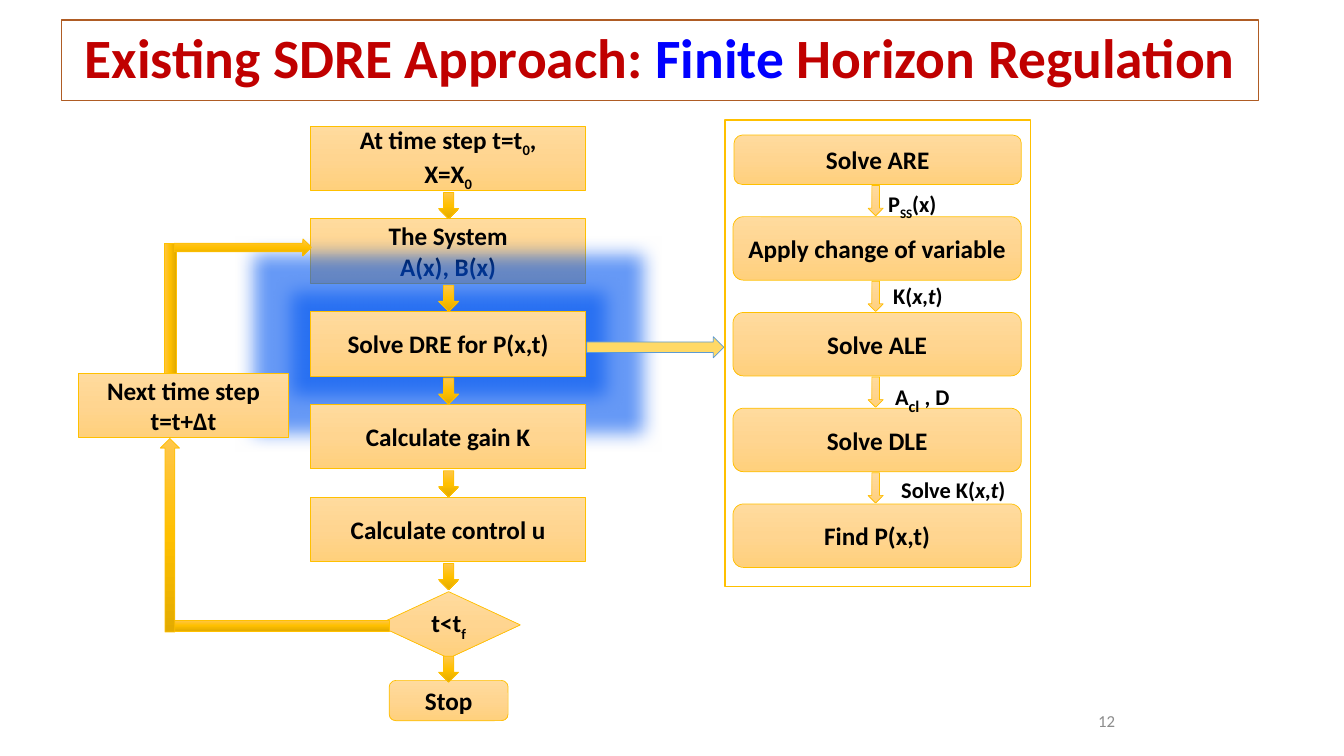
from copy import deepcopy
from typing import NamedTuple

from lxml.etree import SubElement
from pptx import Presentation
from pptx.dml.color import RGBColor
from pptx.enum.shapes import MSO_SHAPE as Preset
from pptx.enum.text import MSO_ANCHOR as Anchor, PP_ALIGN as Align
from pptx.oxml.ns import qn
from pptx.util import Inches, Pt

FONT = "Calibri"
BLACK, GOLD, WHITE = "000000", "FFC000", "FFFFFF"
PALE = ("FFDB9E", "FFD590", "FFD07C")
STRONG = ("FFC64B", GOLD, "E3AB00")


class Span(NamedTuple):
    """A run of text with what sets it apart from its paragraph."""
    text: str
    lowered: bool = False
    italic: bool = False
    size: float | None = None
    color: str | None = None


class Block(NamedTuple):
    """A preset shape, measured in inches, with its lines of text."""
    preset: Preset
    left: float
    top: float
    width: float
    height: float
    lines: tuple = ()
    fill: tuple = PALE
    line: str = GOLD
    weight: float = 0.5
    rotation: float = 0


class Label(NamedTuple):
    """A caption beside an arrow of the solution steps."""
    left: float
    top: float
    width: float
    spans: tuple


def rgb(color: str) -> RGBColor:
    """Turn a hex string into a colour."""
    return RGBColor.from_string(color)


def low(text: str) -> Span:
    """Make a subscript span."""
    return Span(text, lowered=True)


def write(box, lines: tuple, size: float, color: str = BLACK, bold: bool = True,
          align: Align = Align.CENTER, anchor: Anchor = Anchor.MIDDLE) -> None:
    """Write lines, each a tuple of spans, into a shape."""
    frame = box.text_frame
    frame.word_wrap = True
    frame.vertical_anchor = anchor
    for index, spans in enumerate(lines):
        para = frame.add_paragraph() if index else frame.paragraphs[0]
        para.alignment = align
        para.font.name, para.font.size, para.font.bold = FONT, Pt(size), bold
        para.font.color.rgb = rgb(color)
        for span in spans:
            run = para.add_run()
            run.text = span.text
            if span.italic:
                run.font.italic = True
            if span.size:
                run.font.size = Pt(span.size)
            if span.color:
                run.font.color.rgb = rgb(span.color)
            if span.lowered:
                run.font._element.set("baseline", "-25000")


def paint(box, colors: tuple) -> None:
    """Fill with one colour, or with three from top to bottom."""
    if len(colors) == 1:
        box.fill.solid()
        box.fill.fore_color.rgb = rgb(colors[0])
        return
    box.fill.gradient()
    box.fill.gradient_angle = 270
    first = box._element.spPr.find(".//" + qn("a:gs"))
    middle = deepcopy(first)
    middle.set("pos", "50000")
    first.addnext(middle)
    for stop, color in zip(box.fill.gradient_stops, colors):
        stop.color.rgb = rgb(color)


def add_block(page, block: Block, size: float = 18):
    """Draw a block and return its shape."""
    box = page.shapes.add_shape(block.preset, Inches(block.left), Inches(block.top),
                                Inches(block.width), Inches(block.height))
    box.shadow.inherit = False
    box.rotation = block.rotation
    paint(box, block.fill)
    box.line.color.rgb = rgb(block.line)
    box.line.width = Pt(block.weight)
    write(box, block.lines, size)
    return box


def add_text(page, left: float, top: float, width: float, height: float):
    """Add an empty text box."""
    return page.shapes.add_textbox(Inches(left), Inches(top), Inches(width), Inches(height))


def add_glow(box, radius: float, color: str, opacity: int) -> None:
    """Surround a shape with a soft glow."""
    effects = box._element.spPr.find(qn("a:effectLst"))
    glow = SubElement(effects, qn("a:glow"), rad=str(Inches(radius)))
    tint = SubElement(glow, qn("a:srgbClr"), val=color)
    SubElement(tint, qn("a:alpha"), val=str(opacity * 1000))


deck = Presentation()
deck.slide_width, deck.slide_height = Inches(13.33), Inches(7.5)
page = deck.slides.add_slide(deck.slide_layouts[6])

number = add_text(page, 8.83, 6.95, 2.33, 0.4)
write(number, ((Span("12"),),), 12, "8C8C8C", False, Align.RIGHT)

title = add_block(page, Block(
    Preset.RECTANGLE, 0.61, 0.2, 11.87, 0.8,
    ((Span("Existing SDRE Approach: ", color="C00000"), Span("Finite", color="0000FF"),
      Span(" Horizon Regulation", color="C00000")),), (WHITE,), "AF5C24", 1), 39.6)
title.text_frame.paragraphs[0].line_spacing = 0.9

# Main loop
LOOP_PITCH = 0.92
loop_steps = (
    ((Span("At time step t=t"), low("0"), Span(",")), (Span("X=X"), low("0"))),
    ((Span("The System"),), (Span("A(x), B(x)"),)),
    ((Span("Solve DRE for P(x,t)"),),),
    ((Span("Calculate gain K"),),),
    ((Span("Calculate control u"),),),
)
for index, lines in enumerate(loop_steps):
    step = add_block(page, Block(Preset.RECTANGLE, 3.08, 1.25 + index * LOOP_PITCH,
                                 2.73, 0.64, lines))
    if index == 2:
        add_glow(step, 0.38, "0056F0", 60)

loop_ends = (
    Block(Preset.FLOWCHART_DECISION, 3.74, 5.87, 1.42, 0.66, ((Span("t<t"), low("f")),)),
    Block(Preset.FLOWCHART_ALTERNATE_PROCESS, 3.86, 6.75, 1.18, 0.4, ((Span("Stop"),),)),
    Block(Preset.RECTANGLE, 0.78, 3.7, 2.08, 0.64,
          ((Span("Next time step"),), (Span("t=t+∆t"),))),
)
loop_arrows = tuple(
    Block(Preset.DOWN_ARROW, 4.35, 1.91 + index * LOOP_PITCH, 0.2, 0.26, fill=STRONG)
    for index in range(len(loop_steps) + 1))
return_path = (
    Block(Preset.RECTANGLE, 1.67, 6.15, 2.19, 0.11, fill=STRONG),
    Block(Preset.UP_ARROW, 1.59, 4.35, 0.19, 1.92, fill=STRONG),
    Block(Preset.RECTANGLE, 1.04, 3, 1.29, 0.12, fill=STRONG, rotation=270),
    Block(Preset.RIGHT_ARROW, 1.73, 2.37, 1.36, 0.17, fill=STRONG),
)

# Solution steps of the DRE
SOLVE_PITCH = 0.95
detail_frame = (
    Block(Preset.RIGHT_ARROW, 5.82, 3.34, 1.36, 0.21, fill=("FFD966",), line="5B9BD5"),
    Block(Preset.RECTANGLE, 7.19, 1.19, 3.03, 4.63, fill=(WHITE,), weight=1),
    Block(Preset.ROUNDED_RECTANGLE, 7.28, 1.34, 2.85, 0.49, ((Span("Solve ARE"),),)),
)
solve_names = ("Apply change of variable", "Solve ALE", "Solve DLE", "Find P(x,t)")
solve_steps = tuple(
    Block(Preset.ROUNDED_RECTANGLE, 7.27, 2.15 + index * SOLVE_PITCH, 2.86, 0.63,
          ((Span(name),),))
    for index, name in enumerate(solve_names))
solve_arrows = tuple(
    Block(Preset.DOWN_ARROW, 8.61, 1.84 + index * SOLVE_PITCH, 0.15, 0.3)
    for index in range(len(solve_names)))

for block in (*loop_ends, *loop_arrows, *return_path,
              *detail_frame, *solve_steps, *solve_arrows):
    add_block(page, block)

state = Span("x,t", italic=True)
labels = (
    Label(8.71, 1.84, 0.98, (Span("P"), low("SS"), Span("(x)"))),
    Label(8.76, 2.75, 0.98, (Span("K("), state, Span(")"))),
    Label(8.78, 3.7, 0.98, (Span("A"), Span("cl", lowered=True, size=20), Span(" , D"))),
    Label(8.84, 4.67, 1.35, (Span("Solve K("), state, Span(")"))),
)
for label in labels:
    caption = add_text(page, label.left, label.top, label.width, 0.37)
    write(caption, (label.spans,), 16, align=Align.LEFT, anchor=Anchor.TOP)

deck.save("out.pptx")
